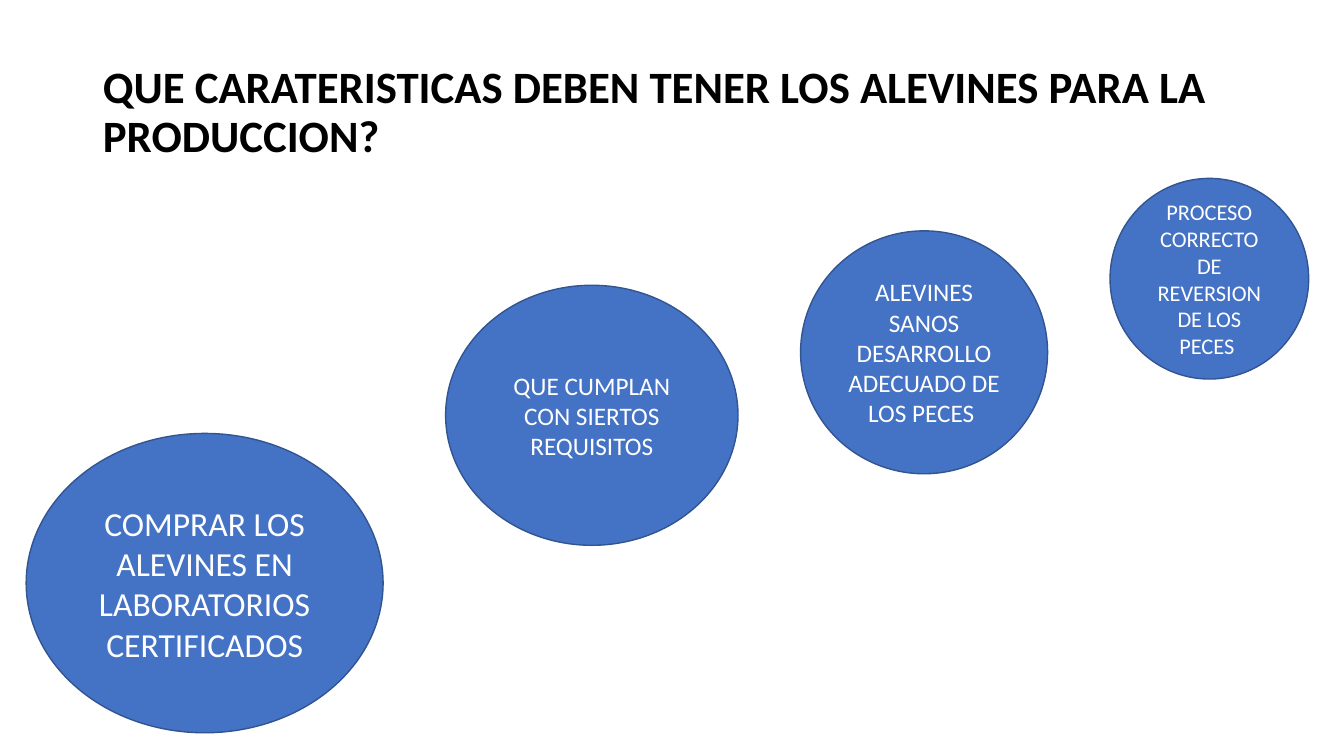
from dataclasses import dataclass

from pptx import Presentation
from pptx.dml.color import RGBColor
from pptx.enum.shapes import MSO_SHAPE
from pptx.enum.text import MSO_ANCHOR, PP_ALIGN
from pptx.util import Inches, Pt

OVAL = MSO_SHAPE.OVAL
MIDDLE = MSO_ANCHOR.MIDDLE
LEFT, CENTER = PP_ALIGN.LEFT, PP_ALIGN.CENTER


@dataclass(frozen=True)
class Theme:
    font: str = "Calibri"
    ink: RGBColor = RGBColor(0x00, 0x00, 0x00)
    paper: RGBColor = RGBColor(0xFF, 0xFF, 0xFF)
    fill: RGBColor = RGBColor(0x44, 0x72, 0xC4)
    edge: RGBColor = RGBColor(0x32, 0x54, 0x91)
    title: int = 32
    large: int = 24
    medium: int = 18
    small: int = 16


theme = Theme()


def write(shape, text, size, color, align, bold=False):
    frame = shape.text_frame
    frame.word_wrap = True
    frame.vertical_anchor = MIDDLE
    para = frame.paragraphs[0]
    para.alignment = align
    run = para.add_run()
    run.text = text
    run.font.name = theme.font
    run.font.size = Pt(size)
    run.font.bold = bold
    run.font.color.rgb = color
    return para


# Slide with a title only
deck = Presentation()
deck.slide_width, deck.slide_height = Inches(13.33), Inches(7.5)
slide = deck.slides.add_slide(deck.slide_layouts[5])

# Title
title = slide.shapes.title
title.left, title.top = Inches(0.92), Inches(0.4)
title.width, title.height = Inches(11.5), Inches(1.45)
para = write(title, "QUE CARATERISTICAS DEBEN TENER LOS ALEVINES PARA LA PRODUCCION?",
             theme.title, theme.ink, LEFT, bold=True)
para.line_spacing = 0.9

# Rising row of circles: left, top, width, height, size, text
steps = [
    (0.26, 4.3, 3.54, 2.97, theme.large,
     "COMPRAR LOS ALEVINES EN LABORATORIOS CERTIFICADOS"),
    (4.42, 2.83, 2.9, 2.58, theme.medium,
     "QUE CUMPLAN CON SIERTOS REQUISITOS"),
    (7.94, 2.29, 2.45, 2.41, theme.medium,
     "ALEVINES SANOS DESARROLLO ADECUADO DE LOS PECES "),
    (11.01, 1.77, 1.97, 1.99, theme.small,
     "PROCESO CORRECTO DE REVERSION DE LOS PECES "),
]
for *box, size, text in steps:
    oval = slide.shapes.add_shape(OVAL, *map(Inches, box))
    oval.shadow.inherit = False
    oval.fill.solid()
    oval.fill.fore_color.rgb = theme.fill
    oval.line.color.rgb = theme.edge
    oval.line.width = Pt(1)
    write(oval, text, size, theme.paper, CENTER)

deck.save("out.pptx")
